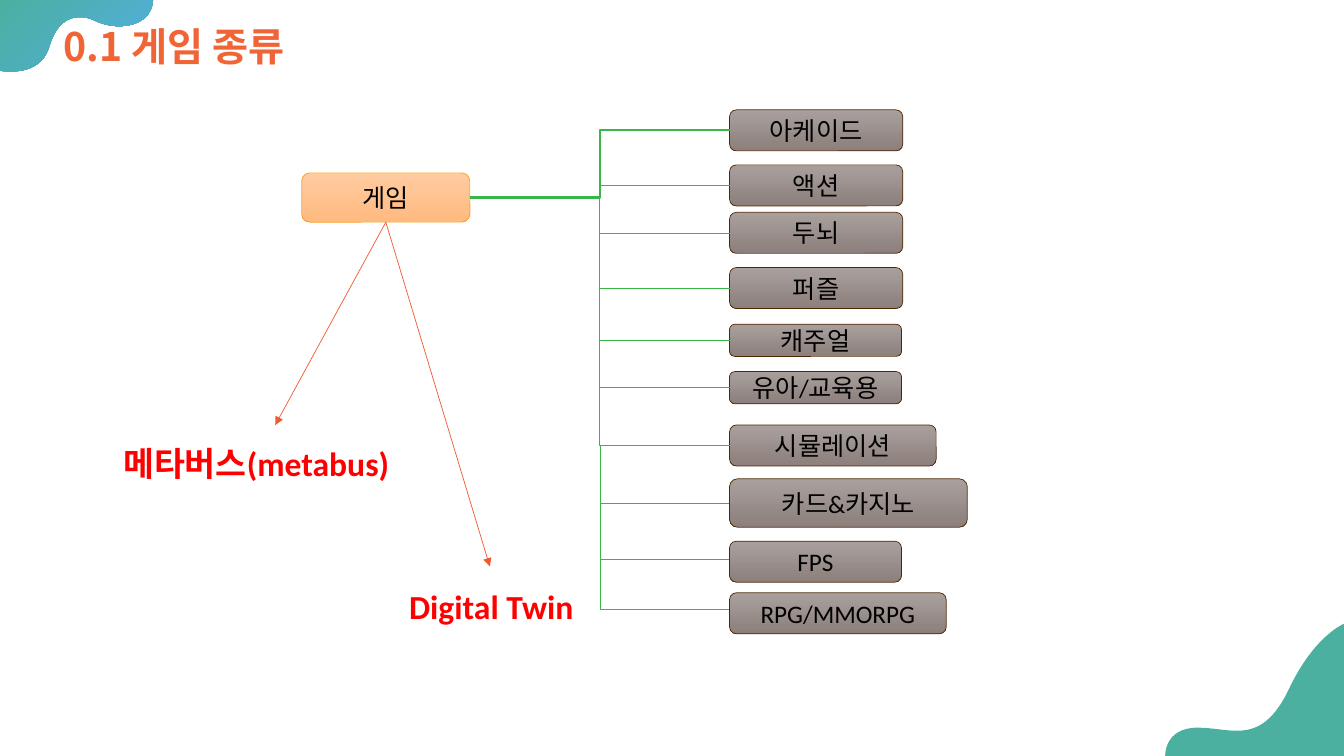
from lxml import etree
from pptx import Presentation
from pptx.dml.color import RGBColor
from pptx.enum.shapes import MSO_CONNECTOR, MSO_SHAPE
from pptx.enum.text import MSO_ANCHOR, MSO_AUTO_SIZE, PP_ALIGN
from pptx.oxml.ns import qn
from pptx.util import Pt

ELBOW, STRAIGHT = MSO_CONNECTOR.ELBOW, MSO_CONNECTOR.STRAIGHT
ROUNDED = MSO_SHAPE.ROUNDED_RECTANGLE
MIDDLE = MSO_ANCHOR.MIDDLE
GROW, NO_FIT = MSO_AUTO_SIZE.SHAPE_TO_FIT_TEXT, MSO_AUTO_SIZE.NONE
LEFT, CENTER = PP_ALIGN.LEFT, PP_ALIGN.CENTER

TEAL = RGBColor(0x4B, 0xB0, 0xA0)
SKY = RGBColor(0x52, 0xAE, 0xE1)
TITLE_ORANGE = RGBColor(0xF0, 0x64, 0x36)
PEACH_LIGHT = RGBColor(0xFF, 0xCB, 0xA1)
PEACH_DARK = RGBColor(0xFF, 0xBA, 0x7F)
AMBER = RGBColor(0xFA, 0x9D, 0x1C)
TAUPE_LIGHT = RGBColor(0xA9, 0xA0, 0x9D)
TAUPE_DARK = RGBColor(0x8C, 0x7F, 0x7C)
BROWN = RGBColor(0x4D, 0x27, 0x02)
GREEN = RGBColor(0x39, 0xB5, 0x4A)
ARROW_RED = RGBColor(0xF1, 0x5A, 0x31)
RED = RGBColor(0xFF, 0x00, 0x00)
BLACK = RGBColor(0x00, 0x00, 0x00)

# Sites on a rounded rectangle
LEFT_SITE, BOTTOM_SITE, RIGHT_SITE = 1, 2, 3

# Outlines relative to their box: two numbers are a corner, six a curve
TOP_WAVE = [(110.1, 0), (0, 0), (0, 51.8), (0, 51.8, 3.6, 52.5, 8.6, 52.5),
            (18, 52.5, 31.7, 49.6, 36, 34.5), (41, 18, 49.7, 13.6, 57.6, 13.6),
            (61.2, 13.6, 64.8, 14.4, 67.7, 15.8),
            (73.4, 18.7, 79.9, 20.1, 85.7, 20.1),
            (99.3, 20.1, 110.1, 13.6, 110.1, 0)]
BOTTOM_WAVE = [(130.2, 0), (130.2, 0, 107.9, 8, 89.2, 48.2),
               (77.6, 72, 65.4, 77, 52.4, 77), (43.8, 77, 34.4, 74.8, 24.4, 74.8),
               (0, 74.8, 1.3, 95.7, 1.3, 95.7), (130.2, 95.7)]

# Label, top below the first box, width, height, branch line width
GENRES = [("아케이드", 0, 123.8, 29.3, 1.5), ("액션", 39.3, 123.8, 29.3, 1),
          ("두뇌", 73.2, 123.8, 29.3, 0.5), ("퍼즐", 112.6, 123.8, 29.3, 0.5),
          ("캐주얼", 153.1, 122.9, 23, 0.5), ("유아/교육용", 186.9, 122.9, 23, 0.5),
          ("시뮬레이션", 225.1, 147.6, 29.3, 0.5)]
# Label, top below the first box, width, height, height of the branch line
LOWER_GENRES = [("카드&카지노", 263.5, 169.9, 34.6, 280.8),
                ("FPS", 308.1, 122.9, 29.3, 321.1),
                ("RPG/MMORPG", 344.9, 154.8, 29.3, 357.1)]
# Label, text left and top, text width, arrow tip
TRENDS = [("메타버스(metabus)", 80.9, 313, 214.6, (196.6, 303.6)),
          ("Digital Twin", 285.1, 414.7, 133.2, (349.9, 404.6))]


def fill_gradient(s, first, last, angle):
    s.fill.gradient()
    s.fill.gradient_angle = angle
    for stop, color in zip(s.fill.gradient_stops, (first, last)):
        stop.color.rgb = color


def add_wave(slide, left, top, outline):
    """Build the outline from all its points, then join each curve's three."""
    points = [(Pt(left + part[i]), Pt(top + part[i + 1]))
              for part in outline for i in range(0, len(part), 2)]
    builder = slide.shapes.build_freeform(*points[0])
    builder.add_line_segments(points[1:])
    s = builder.convert_to_shape()
    segments = iter(list(s._element.spPr.iter(qn("a:lnTo"))))
    for part in outline[1:]:
        segment = next(segments)
        if len(part) == 6:
            curve = etree.Element(qn("a:cubicBezTo"))
            segment.addprevious(curve)
            for step in (segment, next(segments), next(segments)):
                curve.append(step[0])
                step.getparent().remove(step)
    s.shadow.inherit = False
    s.line.fill.background()
    return s


def add_waves(slide):
    fill_gradient(add_wave(slide, -0.7, -1.4, TOP_WAVE), TEAL, SKY, 315)
    s = add_wave(slide, 831, 445, BOTTOM_WAVE)
    s.fill.solid()
    s.fill.fore_color.rgb = TEAL


def add_title(slide, left, top, width, height):
    s = slide.shapes.title
    s.left, s.top, s.width, s.height = Pt(left), Pt(top), Pt(width), Pt(height)
    tf = s.text_frame
    tf.text = "0.1 게임 종류"
    tf.vertical_anchor = MIDDLE
    tf.auto_size = NO_FIT
    p = tf.paragraphs[0]
    p.alignment, p.line_spacing = LEFT, 0.9
    p.font.name, p.font.size, p.font.bold = "Noto Sans CJK KR", Pt(28), True
    p.font.color.rgb = TITLE_ORANGE


def add_node(slide, label, left, top, width, height, light, dark, border):
    s = slide.shapes.add_shape(ROUNDED, Pt(left), Pt(top), Pt(width), Pt(height))
    s.shadow.inherit = False
    fill_gradient(s, light, dark, 270)
    s.line.color.rgb, s.line.width = border, Pt(0.5)
    s.text_frame.text = label
    s.text_frame.vertical_anchor = MIDDLE
    p = s.text_frame.paragraphs[0]
    p.alignment = CENTER
    p.font.name, p.font.size, p.font.color.rgb = "Calibri", Pt(18), BLACK
    return s


def add_line(slide, kind, start, end, color, width):
    s = slide.shapes.add_connector(kind, *(Pt(v) for v in (*start, *end)))
    s.line.color.rgb, s.line.width = color, Pt(width)
    etree.SubElement(s._element.spPr, qn("a:effectLst"))
    return s


def add_genres(slide, game, left, top):
    """Stack the genre boxes and branch them off the game box."""
    def add_genre(label, y, width, height):
        return add_node(slide, label, left, top + y, width, height,
                        TAUPE_LIGHT, TAUPE_DARK, BROWN)

    for label, y, width, height, weight in GENRES:
        s = add_genre(label, y, width, height)
        branch = add_line(slide, ELBOW, (0, 0), (left, top), GREEN, weight)
        branch.begin_connect(game, RIGHT_SITE)
        branch.end_connect(s, LEFT_SITE)

    trunk = ((game.left + game.width) / Pt(1) + left) / 2
    for label, y, width, height, line_y in LOWER_GENRES:
        add_genre(label, y, width, height)
        end_y = top + line_y
        branch = add_line(slide, ELBOW, (trunk, end_y - 41), (left, end_y), GREEN, 0.5)
        guides = branch._element.spPr.find(qn("a:prstGeom")).get_or_add_avLst()
        etree.SubElement(guides, qn("a:gd"), name="adj1", fmla="val 500")


def add_trend(slide, game, label, left, top, width, tip):
    s = slide.shapes.add_textbox(Pt(left), Pt(top), Pt(width), Pt(36))
    tf = s.text_frame
    tf.word_wrap, tf.auto_size = False, GROW
    tf.text = label
    p = tf.paragraphs[0]
    p.font.name, p.font.size, p.font.bold = "Calibri", Pt(24), True
    p.font.color.rgb = RED
    arrow = add_line(slide, STRAIGHT, (0, 0), tip, ARROW_RED, 0.5)
    arrow.begin_connect(game, BOTTOM_SITE)
    etree.SubElement(arrow._element.spPr.find(qn("a:ln")), qn("a:tailEnd"),
                     type="triangle")


def main():
    prs = Presentation()
    prs.slide_width, prs.slide_height = Pt(960), Pt(540)
    slide = prs.slides.add_slide(prs.slide_layouts[5])
    add_waves(slide)
    add_title(slide, 38.2, 8.6, 888.5, 52.6)
    game = add_node(slide, "게임", 215.5, 123.5, 120.2, 35.2,
                    PEACH_LIGHT, PEACH_DARK, AMBER)
    add_genres(slide, game, 521.1, 78.5)
    for trend in TRENDS:
        add_trend(slide, game, *trend)
    prs.save("out.pptx")


if __name__ == "__main__":
    main()
